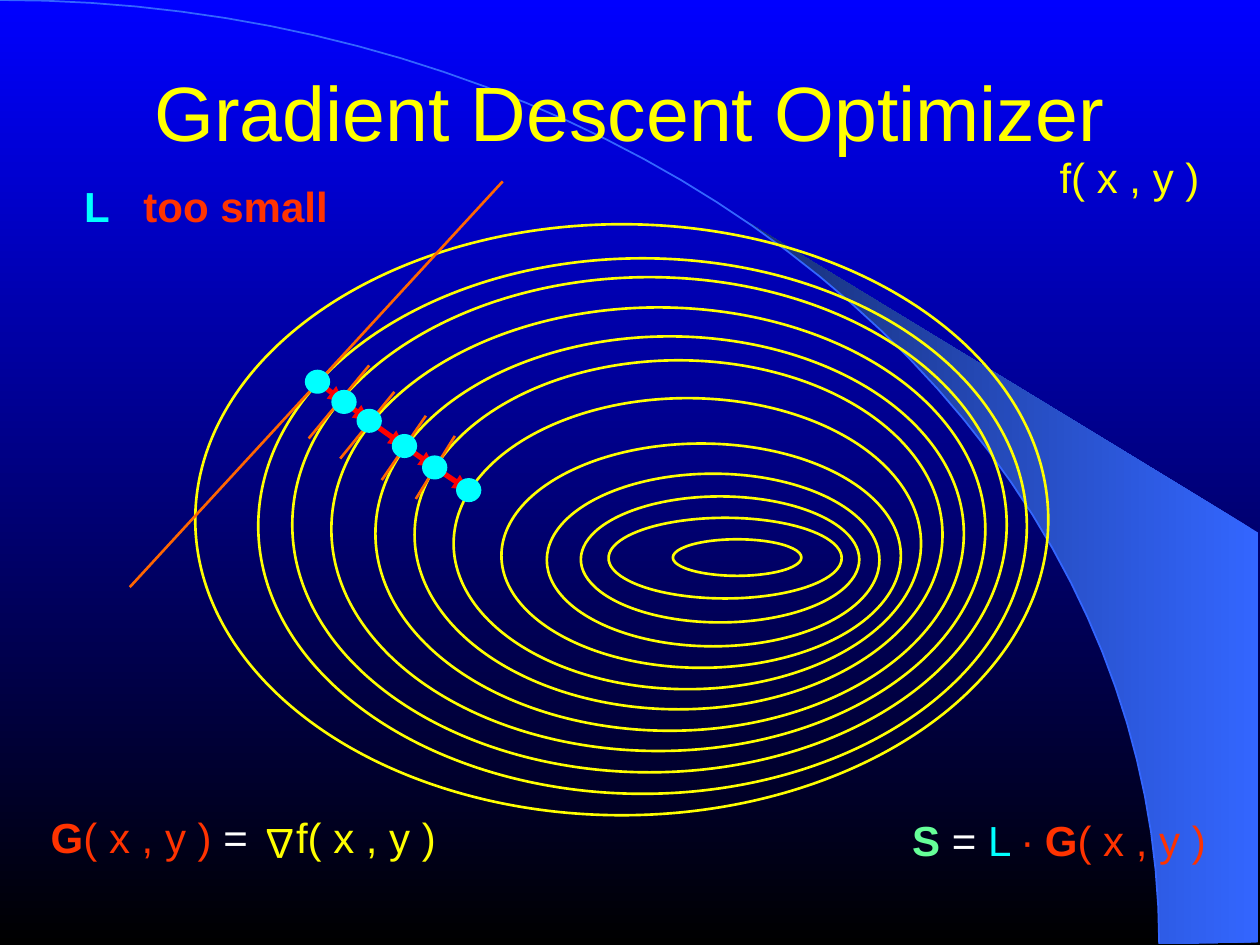
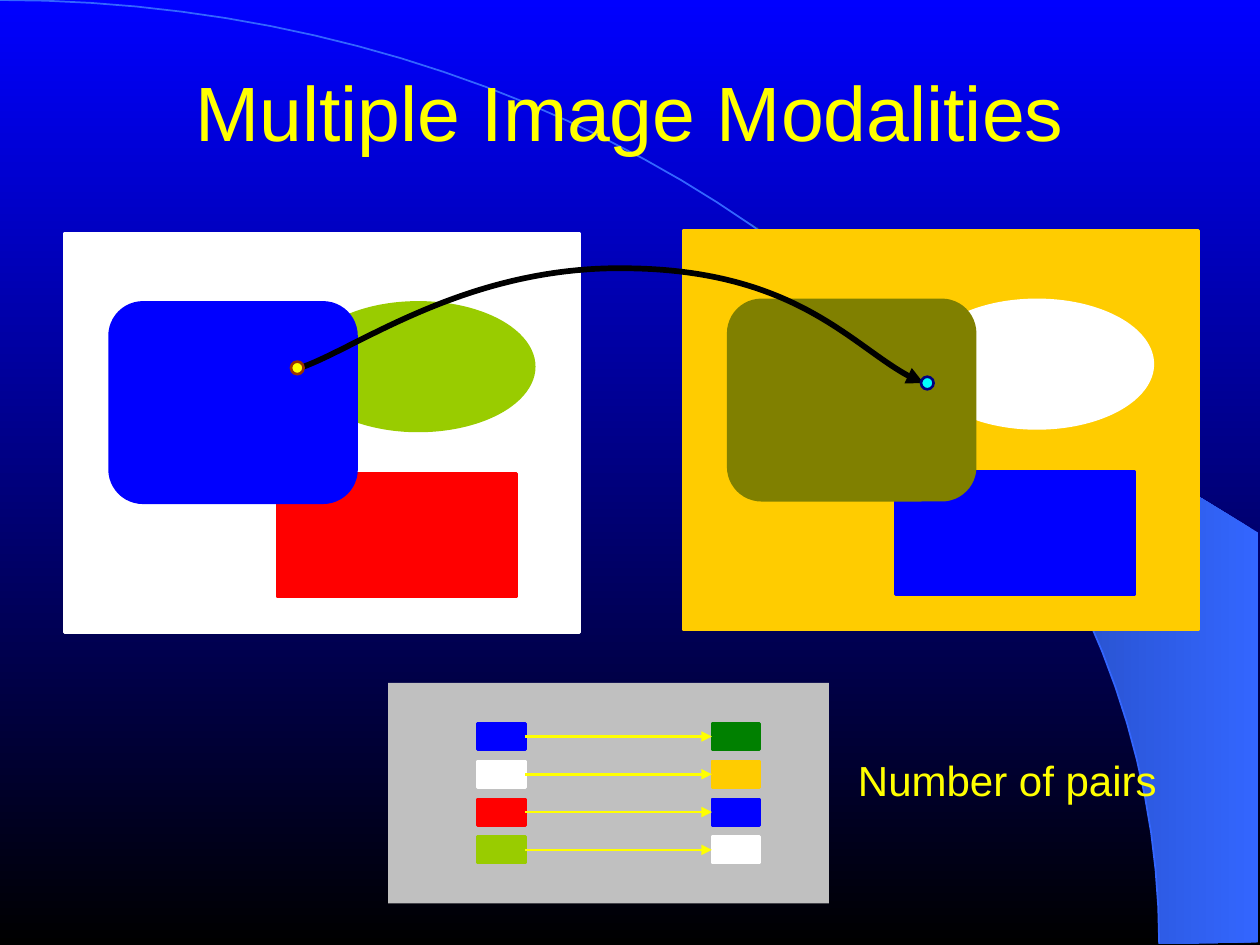
from dataclasses import dataclass
from itertools import pairwise
from math import acos, cos, sin

from lxml import etree
from pptx import Presentation
from pptx.dml.color import RGBColor
from pptx.enum.shapes import MSO_CONNECTOR, MSO_SHAPE
from pptx.enum.text import MSO_ANCHOR, MSO_AUTO_SIZE, PP_ALIGN
from pptx.oxml.ns import qn
from pptx.util import Inches, Pt


@dataclass(frozen=True)
class Theme:
    font: str = "Arial"
    title_size: int = 44
    label_size: int = 24
    thin: float = 1.5
    yellow: str = "FFFF00"
    white: str = "FFFFFF"
    black: str = "000000"
    blue: str = "0000FF"
    navy: str = "000080"
    sky: str = "3366FF"
    dusk: str = "172F75"
    cyan: str = "00FFFF"
    mint: str = "66FF99"
    red: str = "FF0000"
    scarlet: str = "FF3300"
    orange: str = "FF6600"
    brown: str = "993300"
    gold: str = "FFCC00"
    lime: str = "99CC00"
    green: str = "008000"
    olive: str = "808000"
    grey: str = "C0C0C0"


THEME = Theme()
LABEL_HEIGHT = 0.42


def rgb(color):
    return RGBColor.from_string(color)


def paint(shape, fill=None, line=None, width=THEME.thin):
    shape.shadow.inherit = False
    if fill:
        shape.fill.solid()
        shape.fill.fore_color.rgb = rgb(fill)
    else:
        shape.fill.background()
    if line:
        shape.line.color.rgb = rgb(line)
        shape.line.width = Pt(width)
    else:
        shape.line.fill.background()


def paint_gradient(fill, start, end, angle):
    fill.gradient()
    fill.gradient_angle = angle
    for stop, color, position in zip(fill.gradient_stops, (start, end), (0, 1)):
        stop.color.rgb = rgb(color)
        stop.position = position


def add_figure(shapes, preset, box, fill=None, line=None):
    figure = shapes.add_shape(preset, *map(Inches, box))
    paint(figure, fill, line)
    return figure


def add_dot(shapes, center, size, fill, line):
    (x, y), (width, height) = center, size
    return add_figure(shapes, MSO_SHAPE.OVAL,
                      (x - width / 2, y - height / 2, width, height), fill, line)


def add_arrowhead(shape):
    etree.SubElement(shape.element.find(".//" + qn("a:ln")), qn("a:tailEnd"),
                     type="triangle")


def add_line(shapes, start, end, color, width=THEME.thin, arrow=False):
    line = shapes.add_connector(MSO_CONNECTOR.STRAIGHT, *map(Inches, start + end))
    line.line.color.rgb = rgb(color)
    line.line.width = Pt(width)
    if arrow:
        add_arrowhead(line)
    etree.SubElement(line.element.find(qn("p:spPr")), qn("a:effectLst"))
    return line


def add_outline(shapes, points, close=False):
    start, *rest = [(Inches(x), Inches(y)) for x, y in points]
    builder = shapes.build_freeform(*start)
    builder.add_line_segments(rest, close=close)
    return builder.convert_to_shape()


def add_label(shapes, left, top, width, runs, align=PP_ALIGN.CENTER, tab=None):
    """Add one line of text from (text, colour, bold) runs."""
    label = shapes.add_textbox(*map(Inches, (left, top, width, LABEL_HEIGHT)))
    frame = label.text_frame
    frame.word_wrap = True
    frame.auto_size = MSO_AUTO_SIZE.SHAPE_TO_FIT_TEXT
    paragraph = frame.paragraphs[0]
    paragraph.alignment = align
    paragraph.line_spacing = 0.8
    if tab:
        stops = etree.SubElement(paragraph._p.get_or_add_pPr(), qn("a:tabLst"))
        etree.SubElement(stops, qn("a:tab"), pos=str(Inches(tab)), algn="l")
    for text, color, bold in runs:
        run = paragraph.add_run()
        run.text = text
        run.font.name = THEME.font
        run.font.size = Pt(THEME.label_size)
        run.font.bold = bold
        run.font.color.rgb = rgb(color)
    return label


def add_backdrop(master, drawing_slide):
    """Put the gradient, the sweeping arc and the beam on the master."""
    paint_gradient(master.background.fill, THEME.blue, THEME.black, 270)
    radius_x, radius_y = 9.2, 7.49

    def arc(first, last, steps=40):
        angles = [first + (last - first) * i / steps for i in range(steps + 1)]
        return [(radius_x * cos(a), radius_y * (1 - sin(a))) for a in angles]

    beam_angle = acos(5.89 / radius_x)
    beam = add_outline(drawing_slide.shapes,
                       [(9.99, 7.48), (9.99, 4.23)] + arc(beam_angle, 0), close=True)
    paint(beam)
    paint_gradient(beam.fill, THEME.sky, THEME.dusk, 180)
    sweep = add_outline(drawing_slide.shapes, arc(0, acos(0)))
    paint(sweep, line=THEME.sky, width=1)
    for index, part in enumerate((beam, sweep), start=2):
        master.shapes.element.insert(index, part.element)


def add_titled_slide(prs, heading):
    slide = prs.slides.add_slide(prs.slide_layouts[5])
    title = slide.shapes.title
    title.left, title.top, title.width, title.height = map(Inches, (0.75, 0.12, 8.5, 1.51))
    frame = title.text_frame
    frame.text = heading
    frame.auto_size = MSO_AUTO_SIZE.NONE
    frame.vertical_anchor = MSO_ANCHOR.MIDDLE
    frame.margin_left = frame.margin_right = frame.margin_top = frame.margin_bottom = 0
    paragraph = frame.paragraphs[0]
    paragraph.alignment = PP_ALIGN.CENTER
    font = paragraph.runs[0].font
    font.name, font.size = THEME.font, Pt(THEME.title_size)
    font.color.rgb = rgb(THEME.yellow)
    return slide


def add_contours(slide, left, top):
    """Draw the level curves of f, outermost first."""
    contours = [
        (0, 0, 6.77, 4.69), (0.5, 0.27, 6.1, 4.25), (0.77, 0.42, 5.67, 3.93),
        (1.08, 0.66, 5.19, 3.52), (1.43, 0.89, 4.67, 3.13), (1.74, 1.08, 4.19, 2.77),
        (2.05, 1.38, 3.71, 2.31), (2.43, 1.74, 3.17, 1.78), (2.79, 1.98, 2.64, 1.37),
        (3.06, 2.16, 2.21, 1), (3.28, 2.33, 1.85, 0.64), (3.79, 2.5, 1.02, 0.29),
    ]
    group = slide.shapes.add_group_shape().shapes
    for x, y, width, height in contours:
        add_figure(group, MSO_SHAPE.OVAL, (left + x, top + y, width, height),
                   line=THEME.yellow)


def add_descent(slide, left, top):
    """Draw the short steps and the tangent at each position."""
    tangents = [
        ((-1.49, 1.63), (1.47, -1.59)), ((-0.07, 0.45), (0.41, -0.13)),
        ((0.18, 0.61), (0.61, 0.08)), ((0.51, 0.78), (0.86, 0.27)),
        ((0.78, 0.93), (1.09, 0.43)),
    ]
    positions = [(0, 0), (0.21, 0.16), (0.41, 0.31), (0.69, 0.51), (0.93, 0.68), (1.2, 0.86)]

    def place(point):
        return left + point[0], top + point[1]

    for start, end in tangents:
        add_line(slide.shapes, place(start), place(end), THEME.orange)
    for start, end in pairwise(positions):
        add_line(slide.shapes, place(start), place(end), THEME.red, 3, arrow=True)
    for position in positions:
        add_dot(slide.shapes, place(position), (0.18, 0.17), THEME.cyan, THEME.cyan)


def add_gradient_formula(slide, left, top):
    group = slide.shapes.add_group_shape().shapes
    add_label(group, left + 1.95, top, 1.63, [("f( x , y )", THEME.yellow, False)])
    nabla = add_label(group, left + 1.91, top, 0.37, [("∆", THEME.yellow, False)])
    nabla.rotation = 180
    add_label(group, left, top, 2.09, [
        ("G", THEME.scarlet, True), ("( x , y ) ", THEME.scarlet, False),
        ("=", THEME.white, False)])


def build_optimizer_slide(prs):
    slide = add_titled_slide(prs, "Gradient Descent Optimizer")
    add_contours(slide, 1.55, 1.78)
    add_descent(slide, 2.52, 3.03)
    add_label(slide.shapes, 8.15, 1.23, 1.63, [("f( x , y )", THEME.yellow, False)])
    add_label(slide.shapes, 0.57, 1.46, 2.59,
              [("L", THEME.cyan, True), ("\ttoo small", THEME.scarlet, True)],
              PP_ALIGN.LEFT, tab=0.47)
    add_gradient_formula(slide, 0.14, 6.47)
    add_label(slide.shapes, 6.88, 6.49, 3.05, [
        ("S ", THEME.mint, True), ("= ", THEME.white, False), ("L ", THEME.cyan, False),
        ("∙ ", THEME.scarlet, False), ("G", THEME.scarlet, True),
        ("( x , y )", THEME.scarlet, False)])
    return slide


def add_modality(slide, left, top, ground, ellipse, block, rounded):
    """Draw the shared scene in the colours of one modality."""
    parts = [
        (MSO_SHAPE.RECTANGLE, (0, 0, 4.09, 3.17), ground),
        (MSO_SHAPE.OVAL, (1.89, 0.55, 1.84, 1.02), ellipse),
        (MSO_SHAPE.RECTANGLE, (1.69, 1.91, 1.9, 0.98), block),
        (MSO_SHAPE.ROUNDED_RECTANGLE, (0.36, 0.55, 1.96, 1.59), rounded),
    ]
    group = slide.shapes.add_group_shape().shapes
    for preset, (x, y, width, height), color in parts:
        add_figure(group, preset, (left + x, top + y, width, height), color, color)


def add_mapping(slide, left, top):
    """Draw the curved arrow between two matching points."""
    knots = [(0, 0.83), (0.44, 0.7), (1.33, 0), (2.65, 0.03),
             (3.97, 0.05), (4.5, 0.75), (4.98, 0.94)]
    mapping = add_outline(slide.shapes, [(left + x, top + y) for x, y in knots])
    paint(mapping, line=THEME.black, width=3.25)
    add_arrowhead(mapping)
    track = mapping.element.find(".//" + qn("a:path"))
    segments = track.findall(qn("a:lnTo"))
    for first in range(0, len(segments), 3):
        curve = etree.SubElement(track, qn("a:cubicBezTo"))
        for segment in segments[first:first + 3]:
            curve.append(segment[0])
            track.remove(segment)
    add_dot(slide.shapes, (left + 5.01, top + 0.94), (0.1, 0.1), THEME.cyan, THEME.navy)
    add_dot(slide.shapes, (left + 0.01, top + 0.82), (0.1, 0.1), THEME.yellow, THEME.brown)


def add_pairs(slide, left, top):
    """List which colour of one modality matches which of the other."""
    pairs = [(THEME.blue, THEME.green), (THEME.white, THEME.gold),
             (THEME.red, THEME.blue), (THEME.lime, THEME.white)]
    add_figure(slide.shapes, MSO_SHAPE.RECTANGLE, (left, top, 3.5, 1.75), THEME.grey)
    for row, colors in enumerate(pairs):
        group = slide.shapes.add_group_shape().shapes
        y = top + 0.32 + 0.3 * row
        source, target = [
            add_figure(group, MSO_SHAPE.RECTANGLE, (left + x, y, 0.38, 0.21), color, color)
            for x, color in zip((0.71, 2.57), colors)]
        link = add_line(group, (left + 1.09, y + 0.1), (left + 2.57, y + 0.1),
                        THEME.yellow, arrow=True)
        link.begin_connect(source, 3)
        link.end_connect(target, 1)


def build_modalities_slide(prs):
    slide = add_titled_slide(prs, "Multiple Image Modalities")
    add_modality(slide, 0.51, 1.85, THEME.white, THEME.lime, THEME.red, THEME.blue)
    add_modality(slide, 5.42, 1.83, THEME.gold, THEME.white, THEME.blue, THEME.olive)
    add_mapping(slide, 2.35, 2.1)
    add_pairs(slide, 3.08, 5.42)
    add_label(slide.shapes, 6.71, 6.02, 2.57, [("Number of pairs", THEME.yellow, False)])


def main():
    prs = Presentation()
    prs.slide_width, prs.slide_height = Inches(10), Inches(7.5)
    optimizer_slide = build_optimizer_slide(prs)
    add_backdrop(prs.slide_master, optimizer_slide)
    build_modalities_slide(prs)
    prs.save("out.pptx")


if __name__ == "__main__":
    main()
